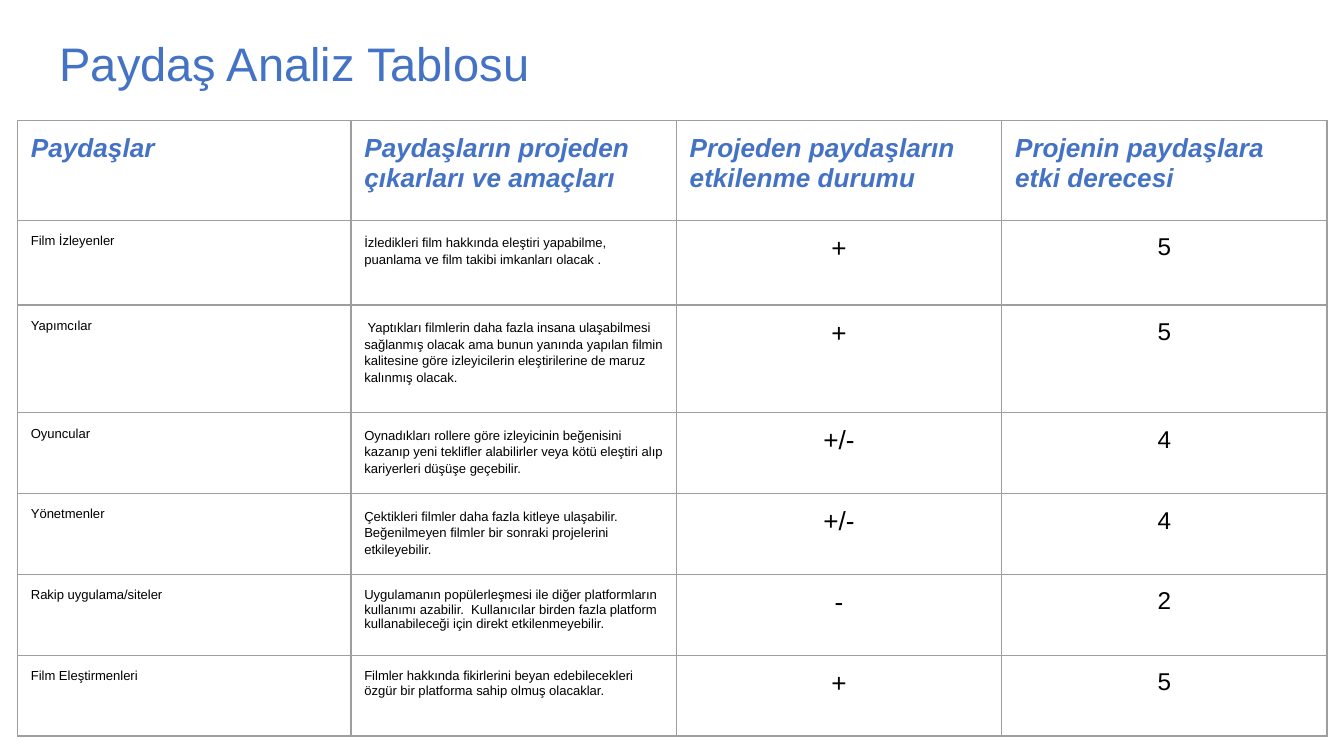
from lxml import etree
from pptx import Presentation
from pptx import util as u
from pptx.dml.color import RGBColor
from pptx.enum import text
from pptx.oxml.ns import qn

WIDTH = u.Inches(10)
HEIGHT = WIDTH * 9 // 16
COLORS = {"accent": "4472C4", "ink": "000000", "grid": "9E9E9E"}
INSET = u.Inches(0.1)
MARGINS = ("margin_left", "margin_right", "margin_top", "margin_bottom")
COLUMNS = [2.48, 2.42, 2.42, 2.42]
ROWS = [0.74, 0.63, 0.8, 0.6, 0.6, 0.6, 0.6]

TITLE = {"size": u.Pt(25.2)}
HEADER = {"size": u.Pt(14), "bold": True, "italic": True}
SMALL = {"size": u.Pt(7)}
EFFECT = {"size": u.Pt(14)}
DEGREE = {"size": u.Pt(13)}
LEFT = {"alignment": text.PP_ALIGN.LEFT}
CENTER = {"alignment": text.PP_ALIGN.CENTER}
SPACED = {"line_spacing": 1.15, "space_before": u.Pt(12), "space_after": u.Pt(10)}
SPACED_ROWS = 4

HEADINGS = [
    "Paydaşlar",
    "Paydaşların projeden çıkarları ve amaçları",
    "Projeden paydaşların etkilenme durumu",
    "Projenin paydaşlara etki derecesi",
]
STAKEHOLDERS = [
    ("Film İzleyenler",
     "İzledikleri film hakkında eleştiri yapabilme, puanlama ve film takibi "
     "imkanları olacak .", "+", "5"),
    ("Yapımcılar",
     " Yaptıkları filmlerin daha fazla insana ulaşabilmesi sağlanmış olacak ama "
     "bunun yanında yapılan filmin kalitesine göre izleyicilerin eleştirilerine "
     "de maruz kalınmış olacak.", "+", "5"),
    ("Oyuncular",
     "Oynadıkları rollere göre izleyicinin beğenisini kazanıp yeni teklifler "
     "alabilirler veya kötü eleştiri alıp kariyerleri düşüşe geçebilir.", "+/-", "4"),
    ("Yönetmenler",
     "Çektikleri filmler daha fazla kitleye ulaşabilir. Beğenilmeyen filmler bir "
     "sonraki projelerini etkileyebilir.", "+/-", "4"),
    ("Rakip uygulama/siteler",
     "Uygulamanın popülerleşmesi ile diğer platformların kullanımı azabilir.  "
     "Kullanıcılar birden fazla platform kullanabileceği için direkt "
     "etkilenmeyebilir.", "-", "2"),
    ("Film Eleştirmenleri",
     "Filmler hakkında fikirlerini beyan edebilecekleri özgür bir platforma sahip "
     "olmuş olacaklar.", "+", "5"),
]


def percent_box(x, y, width, height):
    return [int(part * side / 100)
            for part, side in zip((x, y, width, height), (WIDTH, HEIGHT) * 2)]


def apply(target, values):
    for name, value in values.items():
        setattr(target, name, value)


def write(frame, words, font, color, layout):
    para = frame.paragraphs[0]
    apply(para, layout)
    span = para.add_run()
    span.text = words
    apply(span.font, {"name": "Arial", **font})
    span.font.color.rgb = RGBColor.from_string(COLORS[color])


def outline(cell):
    properties = cell._tc.get_or_add_tcPr()
    for position, side in enumerate(("a:lnL", "a:lnR", "a:lnT", "a:lnB")):
        line = etree.Element(qn(side), w=str(u.Pt(0.75)))
        fill = etree.SubElement(line, qn("a:solidFill"))
        etree.SubElement(fill, qn("a:srgbClr"), val=COLORS["grid"])
        properties.insert(position, line)


def add_title(slide, box):
    frame = slide.shapes.add_textbox(*box).text_frame
    apply(frame, {"word_wrap": True, "vertical_anchor": text.MSO_ANCHOR.BOTTOM,
                  **dict.fromkeys(MARGINS, INSET)})
    write(frame, "Paydaş Analiz Tablosu", TITLE, "accent", LEFT)


def cell_format(row, column):
    if row == 0:
        return HEADER, "accent", LEFT
    spaced = column == 1 and row <= SPACED_ROWS
    layout = CENTER if column > 1 else {**LEFT, **(SPACED if spaced else {})}
    return (SMALL, SMALL, EFFECT, DEGREE)[column], "ink", layout


def add_stakeholder_table(slide, box):
    table = slide.shapes.add_table(len(ROWS), len(COLUMNS), *box).table
    apply(table, {"first_row": False, "horz_banding": False})
    for column, part in zip(table.columns, COLUMNS):
        column.width = int(box[2] * part / sum(COLUMNS))
    for row, part in zip(table.rows, ROWS):
        row.height = int(box[3] * part / sum(ROWS))
    for row, entries in enumerate([HEADINGS, *STAKEHOLDERS]):
        for column, words in enumerate(entries):
            cell = table.cell(row, column)
            apply(cell, dict.fromkeys(MARGINS, INSET))
            cell.fill.background()
            outline(cell)
            write(cell.text_frame, words, *cell_format(row, column))


def main():
    deck = Presentation()
    apply(deck, {"slide_width": WIDTH, "slide_height": HEIGHT})
    slide = deck.slides.add_slide(deck.slide_layouts[6])
    add_title(slide, percent_box(3.45, 2.55, 93.2, 11.2))
    add_stakeholder_table(slide, percent_box(1.3, 15.95, 97.45, 81.4))
    deck.save("out.pptx")


if __name__ == "__main__":
    main()
